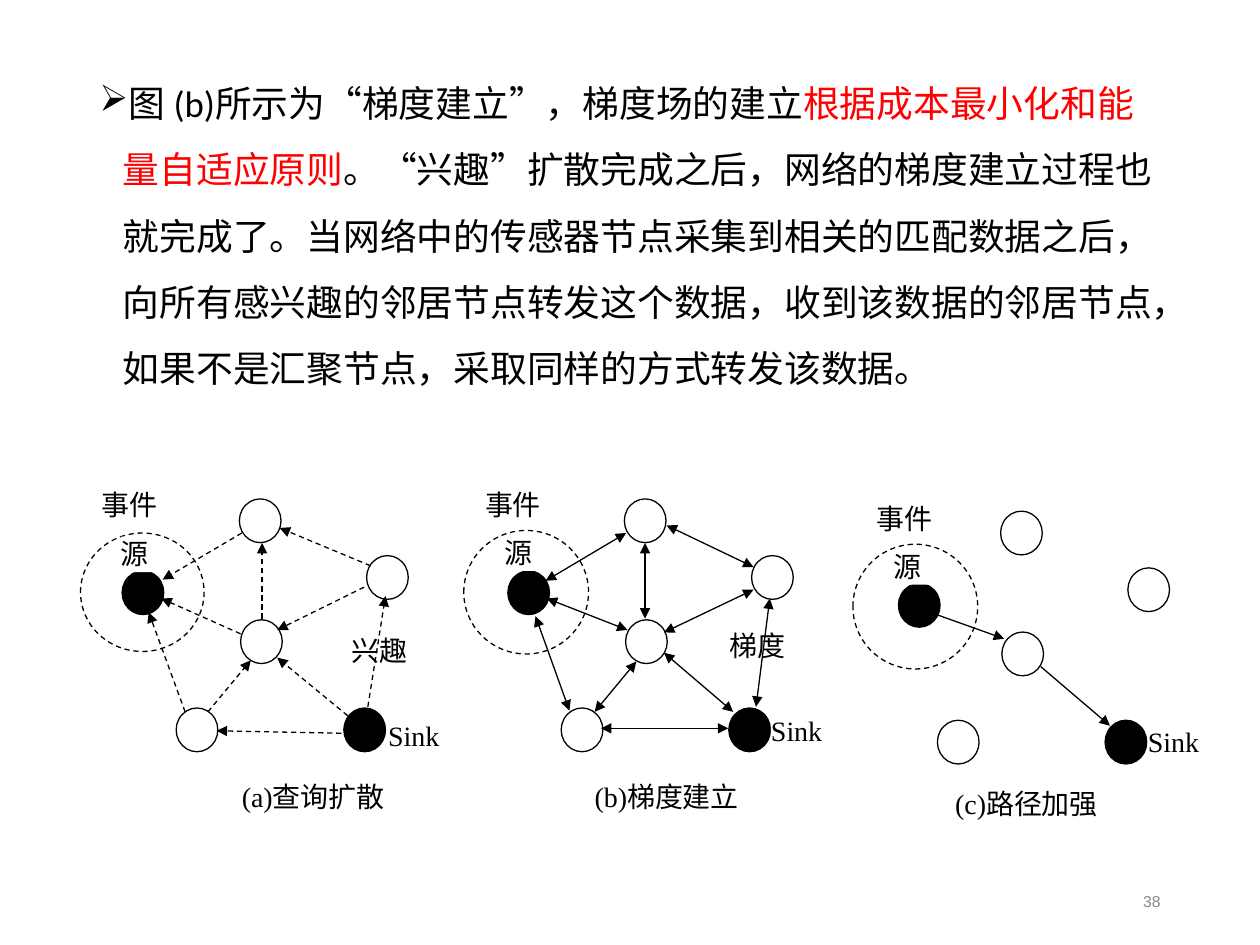
from pptx import Presentation
from pptx.dml.color import RGBColor
from pptx.enum.dml import MSO_LINE
from pptx.enum.shapes import MSO_CONNECTOR, MSO_SHAPE
from pptx.enum.text import MSO_ANCHOR, PP_ALIGN
from pptx.oxml.ns import qn
from pptx.util import Pt
from lxml import etree

DASH = MSO_LINE.DASH
STRAIGHT = MSO_CONNECTOR.STRAIGHT
ELLIPSE, RECTANGLE = MSO_SHAPE.OVAL, MSO_SHAPE.RECTANGLE
MIDDLE, TOP = MSO_ANCHOR.MIDDLE, MSO_ANCHOR.TOP
CENTER, RIGHT, JUSTIFY = PP_ALIGN.CENTER, PP_ALIGN.RIGHT, PP_ALIGN.JUSTIFY

BLACK, WHITE, RED, GRAY = "000000", "FFFFFF", "FF0000", "898989"
NODE_WIDTH, NODE_HEIGHT = 23.8, 25

# Positions shared by the three networks, relative to the panel corner.
OPEN_NODES = [(90.8, 7.1), (163.5, 39.5), (91.5, 76.2), (54.7, 126.6)]
SINK_NODE = (150.5, 126.6)

BODY_RUNS = [
    ("图 (b)所示为“梯度建立”，梯度场的建立", BLACK),
    ("根据成本最小化和能量自适应原则", RED),
    ("。“兴趣”扩散完成之后，网络的梯度建立过程也就完成了。"
     "当网络中的传感器节点采集到相关的匹配数据之后，"
     "向所有感兴趣的邻居节点转发这个数据，收到该数据的邻居节点，"
     "如果不是汇聚节点，采取同样的方式转发该数据。", BLACK),
]

# Label boxes and lines are relative to the panel corner.
PANELS = [
    {
        "corner": (46, 278),
        "relation": ("兴趣", (141.2, 84.2, 59, 25), CENTER),
        "event_area": (0, 26.6, 70.6, 67.7),
        "source": (23.8, 48.2),
        "labels": [("源", (23.1, 28.7, 22.3, 20.2)),
                   ("事件", (12.3, 0.6, 38.9, 21)),
                   ("Sink", (175.8, 132.4, 40.3, 21)),
                   ("(a)查询扩散", (92.2, 167.7, 100.8, 26.6))],
        "dashed": True,
        "two_way": False,
        "lines": [(92.2, 26.6, 46.9, 53.2), (91.5, 84.2, 46.2, 64),
                  (59.8, 128.8, 39, 71.9), (103.8, 75.5, 103.8, 32.3),
                  (165.7, 45.3, 113.8, 23.7), (152.7, 131, 112.4, 97.8),
                  (72.8, 128.8, 97.3, 99.3), (149.1, 141, 77.8, 139.6),
                  (162.1, 57.5, 112.4, 82), (164.2, 125.9, 174.3, 62.6)],
    },
    {
        "corner": (266, 278),
        "relation": ("梯度", (150.9, 81.3, 40.3, 25), JUSTIFY),
        "event_area": (-1, 25.1, 71.3, 70.6),
        "source": (24.2, 48.2),
        "labels": [("源", (22, 28, 22.3, 20.2)),
                   ("事件", (11.2, 0.6, 38.9, 21)),
                   ("Sink", (174.6, 129.5, 40.3, 21)),
                   ("(b)梯度建立", (73.8, 167.7, 100.8, 26.6))],
        "dashed": False,
        "two_way": True,
        "lines": [(45.8, 53.9, 91.8, 26.6), (40, 74.1, 59.4, 128.1),
                  (102.6, 75.5, 102.6, 32.3), (46.5, 64, 92.6, 82),
                  (73.8, 128.8, 97.6, 100), (77.4, 138.2, 150.2, 138.2),
                  (113.4, 95, 153, 128.8), (114.9, 22.2, 164.6, 46),
                  (173.9, 64, 166, 125.9), (113.4, 83.4, 164.6, 59)],
    },
    {
        "corner": (481, 285),
        "relation": None,
        "event_area": (6.4, 26, 71.3, 71.3),
        "source": (32.4, 48.4),
        "labels": [("源", (29.5, 28.9, 22.3, 20.2)),
                   ("事件", (20.1, 1.6, 38.9, 21)),
                   ("Sink", (174.9, 129, 40.3, 21)),
                   ("(c)路径加强", (64.8, 164.3, 100.8, 26.6))],
        "dashed": False,
        "two_way": False,
        "lines": [(54.7, 66.4, 92.8, 80), (113.7, 95.9, 153.3, 129.7)],
    },
]


def color(value):
    return RGBColor.from_string(value)


def set_font(font, name, size, value):
    font.name = name
    font.size = Pt(size)
    font.color.rgb = color(value)


def shifted(corner, box):
    """Return the box in slide lengths, moved by the panel corner."""
    left, top, width, height = box
    return Pt(corner[0] + left), Pt(corner[1] + top), Pt(width), Pt(height)


def add_circle(slide, corner, box, fill, dashed=False):
    shape = slide.shapes.add_shape(ELLIPSE, *shifted(corner, box))
    shape.shadow.inherit = False
    shape.fill.solid()
    shape.fill.fore_color.rgb = color(fill)
    shape.line.color.rgb = color(BLACK)
    shape.line.width = Pt(0.75)
    if dashed:
        shape.line.dash_style = DASH


def add_label(slide, corner, text, box, alignment=JUSTIFY):
    shape = slide.shapes.add_shape(RECTANGLE, *shifted(corner, box))
    shape.shadow.inherit = False
    shape.fill.solid()
    shape.fill.fore_color.rgb = color(WHITE)
    shape.line.fill.background()
    frame = shape.text_frame
    frame.margin_left = frame.margin_right = 0
    frame.margin_top = frame.margin_bottom = 0
    frame.vertical_anchor = TOP
    frame.text = text
    paragraph = frame.paragraphs[0]
    paragraph.alignment = alignment
    set_font(paragraph.runs[0].font, "Times New Roman", 16, BLACK)


def add_arrow(slide, corner, ends, dashed, two_way):
    x, y = corner
    from_x, from_y, to_x, to_y = ends
    connector = slide.shapes.add_connector(
        STRAIGHT, Pt(x + from_x), Pt(y + from_y), Pt(x + to_x), Pt(y + to_y))
    connector.line.color.rgb = color(BLACK)
    connector.line.width = Pt(0.75)
    if dashed:
        connector.line.dash_style = DASH
    line = connector.line._get_or_add_ln()
    for tag in ("a:headEnd", "a:tailEnd") if two_way else ("a:tailEnd",):
        etree.SubElement(line, qn(tag), type="triangle")
    etree.SubElement(connector._element.spPr, qn("a:effectLst"))


def add_network(slide, panel):
    corner = panel["corner"]
    if panel["relation"]:
        add_label(slide, corner, *panel["relation"])
    add_circle(slide, corner, panel["event_area"], WHITE, dashed=True)
    nodes = [(position, WHITE) for position in OPEN_NODES]
    nodes += [(SINK_NODE, BLACK), (panel["source"], BLACK)]
    for position, fill in nodes:
        add_circle(slide, corner, (*position, NODE_WIDTH, NODE_HEIGHT), fill)
    for ends in panel["lines"]:
        add_arrow(slide, corner, ends, panel["dashed"], panel["two_way"])
    for text, box in panel["labels"]:
        add_label(slide, corner, text, box)


def add_body(slide, left, top, width, height):
    box = slide.shapes.add_textbox(Pt(left), Pt(top), Pt(width), Pt(height))
    box.text_frame.word_wrap = True
    paragraph = box.text_frame.paragraphs[0]
    paragraph.line_spacing = 1.5
    properties = paragraph._p.get_or_add_pPr()
    properties.set("marL", str(Pt(13.5)))
    properties.set("indent", str(Pt(-13.5)))
    bullet_color = etree.SubElement(properties, qn("a:buClr"))
    etree.SubElement(bullet_color, qn("a:srgbClr"), val=BLACK)
    etree.SubElement(properties, qn("a:buChar"), char="➢")
    for text, value in BODY_RUNS:
        run = paragraph.add_run()
        run.text = text
        set_font(run.font, "Calibri", 21, value)


def add_page_number(slide, left, top, width, height):
    box = slide.shapes.add_textbox(Pt(left), Pt(top), Pt(width), Pt(height))
    frame = box.text_frame
    frame.word_wrap = True
    frame.vertical_anchor = MIDDLE
    frame.text = "38"
    frame.paragraphs[0].alignment = RIGHT
    set_font(frame.paragraphs[0].runs[0].font, "Arial", 9, GRAY)


def main():
    presentation = Presentation()
    presentation.slide_width = Pt(720)
    presentation.slide_height = Pt(540)
    slide = presentation.slides.add_slide(presentation.slide_layouts[6])
    add_body(slide, 49.7, 30.2, 621.4, 456.5)
    add_page_number(slide, 508.3, 500.4, 162, 28.8)
    for panel in PANELS:
        add_network(slide, panel)
    presentation.save("out.pptx")


if __name__ == "__main__":
    main()
